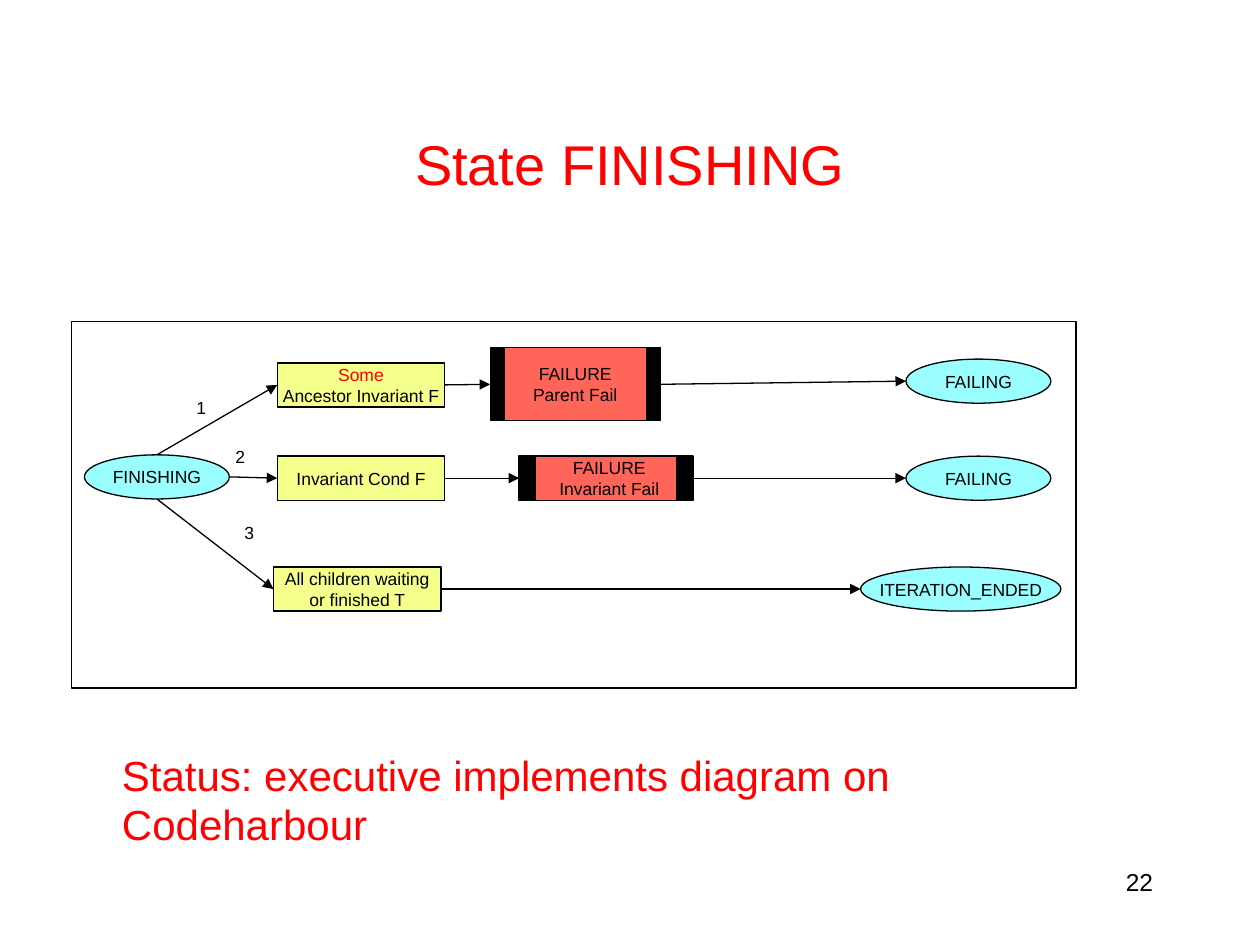
from dataclasses import dataclass

from lxml.etree import SubElement
from pptx import Presentation
from pptx.dml.color import RGBColor
from pptx.enum.shapes import MSO_CONNECTOR, MSO_SHAPE
from pptx.enum.text import MSO_ANCHOR, PP_ALIGN
from pptx.oxml.ns import qn
from pptx.util import Inches, Pt

COLORS = {"black": "000000", "red": "FF0000", "state": "9AFDFF",
          "condition": "F4FF8C", "failure": "FF6659"}
TOP, LEFT, BOTTOM, RIGHT = range(4)
NODE_H = 0.35


@dataclass
class Node:
    key: str
    kind: str
    text: str
    x: float
    y: float
    w: float
    h: float = NODE_H
    bar: float = 0
    overhang: float = 0


@dataclass
class Label:
    text: str
    x: float
    y: float
    w: float
    h: float = NODE_H
    size: float = 10
    color: str = "black"
    align: PP_ALIGN = PP_ALIGN.LEFT
    wrap: bool = False
    spacing: float = 1.0


NODES = [
    Node("finishing", "state", "FINISHING", 0.67, 3.61, 1.15),
    Node("ancestor", "condition", "Some\nAncestor Invariant F", 2.2, 2.88, 1.33),
    Node("invariant", "condition", "Invariant Cond F", 2.2, 3.62, 1.33),
    Node("children", "condition", "All children waiting\nor finished T", 2.17, 4.5, 1.33),
    Node("parent fail", "failure", "FAILURE\nParent Fail", 3.91, 2.76, 1.31, 0.58, 0.11, 0.02),
    Node("invariant fail", "failure", "FAILURE\nInvariant Fail", 4.22, 3.62, 1.23, NODE_H, 0.13, 0.08),
    Node("failing 1", "state", "FAILING", 7.19, 2.85, 1.15),
    Node("failing 2", "state", "FAILING", 7.19, 3.62, 1.15),
    Node("ended", "state", "ITERATION_ENDED", 6.83, 4.5, 1.59),
]
ARROWS = [
    ("finishing", TOP, "ancestor"), ("finishing", RIGHT, "invariant"),
    ("finishing", BOTTOM, "children"),
    ("ancestor", RIGHT, "parent fail"), ("parent fail", RIGHT, "failing 1"),
    ("invariant", RIGHT, "invariant fail"), ("invariant fail", RIGHT, "failing 2"),
    ("children", RIGHT, "ended"),
]
LABELS = [
    Label("1", 1.46, 3.1, 0.3, wrap=True),
    Label("2", 1.77, 3.49, 0.28),
    Label("3", 1.84, 4.09, 0.28),
    Label("Status: executive implements diagram on Codeharbour",
          0.87, 5.92, 8.2, 0.49, 24, "red", spacing=0.97),
    Label("22", 7.17, 6.83, 2.08, 0.5, 14, align=PP_ALIGN.RIGHT, wrap=True),
]


def rgb(name: str) -> RGBColor:
    return RGBColor.from_string(COLORS[name])


def write(tf, text: str, size: float, color: str, align: PP_ALIGN,
          wrap: bool = False, spacing: float = 1.0) -> None:
    tf.text = text
    tf.word_wrap = wrap
    for p in tf.paragraphs:
        p.alignment, p.line_spacing = align, spacing
        for r in p.runs:
            for name, value in {"name": "Arial", "size": Pt(size)}.items():
                setattr(r.font, name, value)
            r.font.color.rgb = rgb(color)


def add_box(shapes, kind, x: float, y: float, w: float, h: float, fill: str = ""):
    sp = shapes.add_shape(kind, Inches(x), Inches(y), Inches(w), Inches(h))
    sp.shadow.inherit = False
    if fill:
        sp.fill.solid()
        sp.fill.fore_color.rgb = rgb(fill)
    else:
        sp.fill.background()
    sp.line.color.rgb = rgb("black")
    sp.line.width = Pt(0.75)
    return sp


def add_node(shapes, node: Node) -> dict:
    """Draw a node and return the shapes that arrows meet on its left and right."""
    if node.bar:
        shapes = shapes.add_group_shape().shapes
    kind = MSO_SHAPE.OVAL if node.kind == "state" else MSO_SHAPE.RECTANGLE
    sp = add_box(shapes, kind, node.x, node.y, node.w, node.h, node.kind)
    write(sp.text_frame, node.text, 10, "black", PP_ALIGN.CENTER)
    sp.text_frame.vertical_anchor = MSO_ANCHOR.MIDDLE
    ends = {side: sp for side in (TOP, LEFT, BOTTOM, RIGHT)}
    if node.bar:
        bars = {LEFT: node.x - node.overhang + 0.0,
                RIGHT: node.x + node.w + node.overhang - node.bar}
        if node.key == "invariant fail":
            bars = {LEFT: 4.12, RIGHT: 5.37}
        for side, x in bars.items():
            ends[side] = add_box(shapes, MSO_SHAPE.RECTANGLE, x, node.y,
                                 node.bar, node.h, "black")
    return ends


def midpoint(sp, side: int) -> tuple:
    dx, dy = {TOP: (0.5, 0), LEFT: (0, 0.5), BOTTOM: (0.5, 1), RIGHT: (1, 0.5)}[side]
    return int(sp.left + dx * sp.width), int(sp.top + dy * sp.height)


def add_arrow(shapes, start, side: int, end) -> None:
    cx = shapes.add_connector(MSO_CONNECTOR.STRAIGHT,
                              *midpoint(start, side), *midpoint(end, LEFT))
    if start.auto_shape_type == MSO_SHAPE.RECTANGLE:
        cx.begin_connect(start, side)
    if end.auto_shape_type == MSO_SHAPE.RECTANGLE:
        cx.end_connect(end, LEFT)
    cx.line.color.rgb = rgb("black")
    cx.line.width = Pt(0.75)
    SubElement(cx.line._get_or_add_ln(), qn("a:tailEnd"), type="triangle")
    SubElement(cx._element.spPr, qn("a:effectLst"))


def add_label(shapes, label: Label) -> None:
    tb = shapes.add_textbox(*map(Inches, (label.x, label.y, label.w, label.h)))
    write(tb.text_frame, label.text, label.size, label.color, label.align,
          label.wrap, label.spacing)


def main() -> None:
    prs = Presentation()
    prs.slide_width, prs.slide_height = Inches(10), Inches(7.5)
    s = prs.slides.add_slide(prs.slide_layouts[5])

    # Title
    title = s.shapes.title
    place = {"left": 0.75, "top": 0.67, "width": 8.5, "height": 1.25}
    for name, value in place.items():
        setattr(title, name, Inches(value))
    write(title.text_frame, "State FINISHING", 32, "red", PP_ALIGN.CENTER, wrap=True)
    title.text_frame.vertical_anchor = MSO_ANCHOR.MIDDLE

    # State diagram
    add_box(s.shapes, MSO_SHAPE.RECTANGLE, 0.57, 2.55, 7.97, 2.91)
    ends = {node.key: add_node(s.shapes, node) for node in NODES}
    some = ends["ancestor"][LEFT].text_frame.paragraphs[0]
    some.runs[0].font.color.rgb = rgb("red")
    for start, side, end in ARROWS:
        add_arrow(s.shapes, ends[start][side], side, ends[end][LEFT])

    # Branch numbers, status and page number
    for label in LABELS:
        add_label(s.shapes, label)
    prs.save("out.pptx")


if __name__ == "__main__":
    main()
